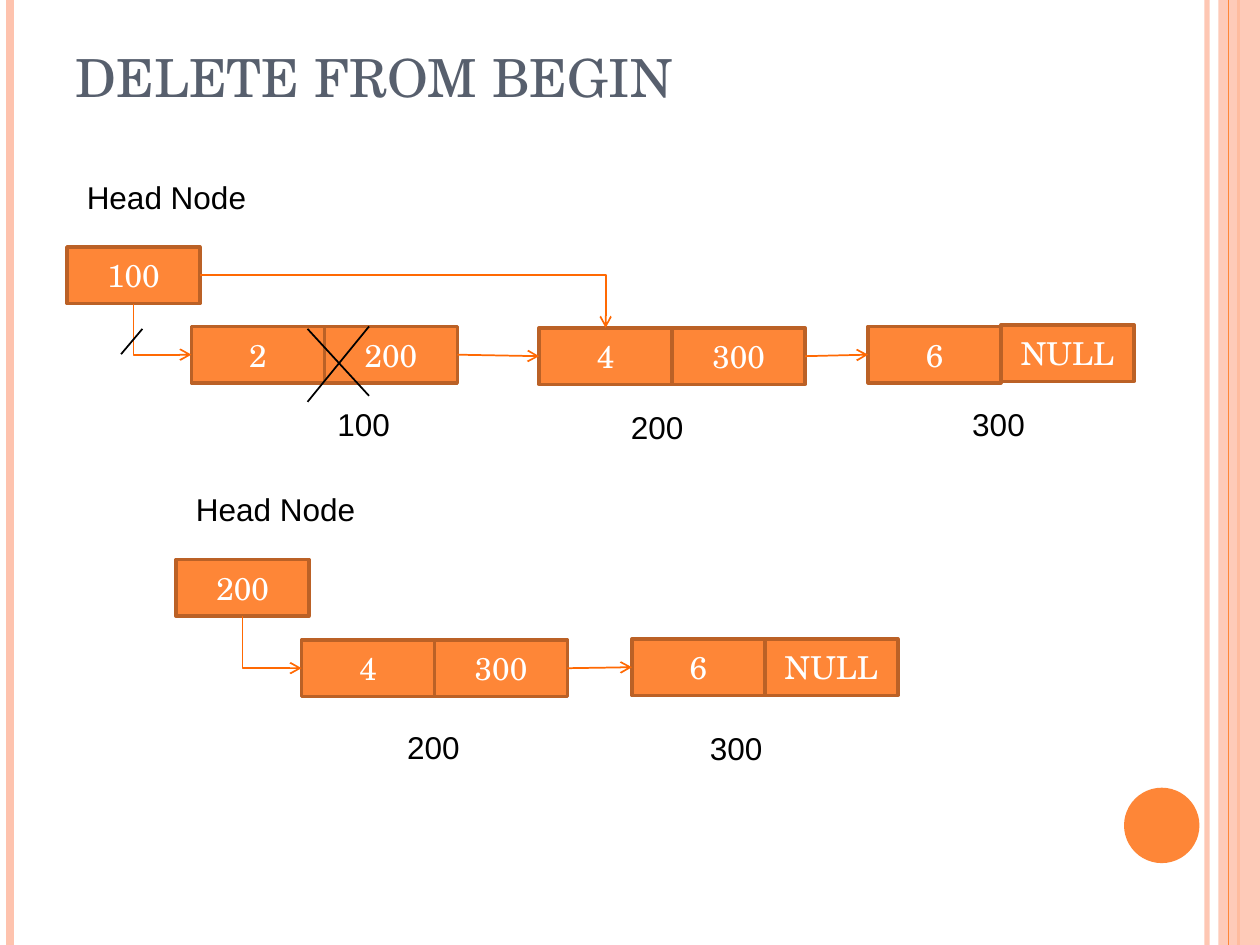
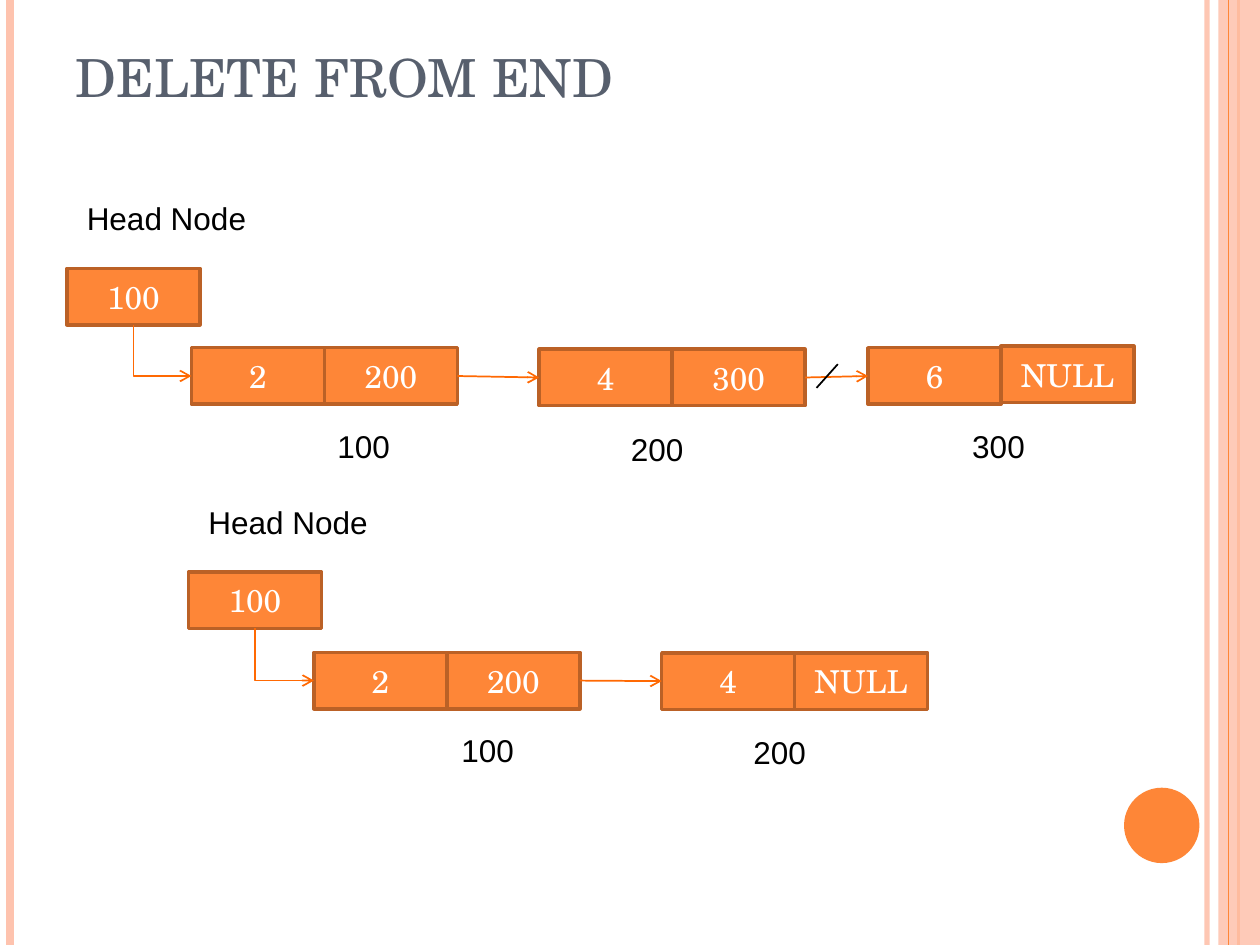
from dataclasses import dataclass
from itertools import pairwise
from typing import NamedTuple, Optional

from pptx import Presentation
from pptx.dml.color import RGBColor
from pptx.enum.shapes import MSO_CONNECTOR, MSO_SHAPE
from pptx.enum.text import MSO_ANCHOR, MSO_AUTO_SIZE, PP_ALIGN
from pptx.oxml.ns import qn
from pptx.shapes.autoshape import Shape
from pptx.shapes.connector import Connector
from pptx.slide import Slide
from pptx.util import Cm, Pt

SLIDE_W, SLIDE_H = 25.4, 19.05
CELL_W, CELL_H = 2.68, 1.14


@dataclass(frozen=True)
class Theme:
    accent: str = "FE8637"
    accent_dark: str = "BB6126"
    accent_pale: str = "FEC3AE"
    arrow: str = "FF6903"
    title: str = "575F6D"
    ink: str = "000000"
    cell_text: str = "FFFFFF"
    serif: str = "TeX Gyre Schola"
    sans: str = "Arial"
    title_size: float = 30
    body_size: float = 18
    line_width: float = 1
    border_width: float = 2


THEME = Theme()


class Point(NamedTuple):
    x: float
    y: float


class Stripe(NamedTuple):
    x: float
    color: str
    width: float
    opacity: int = 100


class Strike(NamedTuple):
    start: Point
    end: Point


class Node(NamedTuple):
    """A two-cell list node; dx and dy count from the head cell."""
    dx: float
    dy: float
    value: str
    pointer: str
    address: str
    address_dx: float
    address_dy: float = 1.47
    pointer_rise: float = 0


class Chain(NamedTuple):
    head: Point
    head_value: str
    nodes: tuple[Node, ...]
    skip_to: Optional[int] = None


class Page(NamedTuple):
    title: str
    chains: tuple[Chain, ...]
    strikes: tuple[Strike, ...]


STRIPES_UNDER_BAND = (
    Stripe(24.33, THEME.accent_pale, 3, 93),
    Stripe(0.2, THEME.accent_pale, 4.5),
    Stripe(24.97, THEME.accent, 1.5),
)
STRIPE_OVER_BAND = Stripe(24.76, THEME.accent, 0.75)

FULL_LIST = (
    Node(2.51, 1.6, "2", "200", "100", 2.69),
    Node(9.52, 1.63, "4", "300", "200", 1.6, 1.5),
    Node(16.15, 1.6, "6", "NULL", "300", 1.85, pointer_rise=0.03),
)
WITHOUT_FIRST = (
    Node(2.53, 1.62, "4", "300", "200", 1.88, 1.65),
    Node(9.19, 1.6, "6", "NULL", "300", 1.32, 1.7),
)
WITHOUT_LAST = (
    Node(2.53, 1.62, "2", "200", "100", 2.72),
    Node(9.54, 1.63, "4", "NULL", "200", 1.6, 1.5),
)

PAGES = (
    Page(
        "DELETE FROM BEGIN",
        (
            Chain(Point(1.35, 4.98), "100", FULL_LIST, skip_to=1),
            Chain(Point(3.55, 11.28), "200", WITHOUT_FIRST),
        ),
        (
            Strike(Point(2.87, 6.63), Point(2.44, 7.14)),
            Strike(Point(7.44, 6.58), Point(6.2, 8.1)),
            Strike(Point(7.44, 7.98), Point(6.2, 6.63)),
        ),
    ),
    Page(
        "DELETE FROM END",
        (
            Chain(Point(1.35, 5.41), "100", FULL_LIST),
            Chain(Point(3.8, 11.53), "100", WITHOUT_LAST),
        ),
        (Strike(Point(16.89, 7.34), Point(16.46, 7.82)),),
    ),
)


def set_opacity(shape: Shape | Connector, percent: int) -> None:
    color = next(shape._element.iter(qn("a:srgbClr")))
    alpha = color.makeelement(qn("a:alpha"), {"val": str(percent * 1000)})
    color.append(alpha)


def write(shape: Shape, text: str, font: str, size: float, color: str) -> None:
    paragraph = shape.text_frame.paragraphs[0]
    paragraph.text = text
    paragraph.font.name = font
    paragraph.font.size = Pt(size)
    paragraph.font.color.rgb = RGBColor.from_string(color)


def add_line(slide: Slide, start: Point, end: Point, color: str,
             width: float = THEME.line_width) -> Connector:
    line = slide.shapes.add_connector(
        MSO_CONNECTOR.STRAIGHT, Cm(start.x), Cm(start.y), Cm(end.x), Cm(end.y))
    line.line.color.rgb = RGBColor.from_string(color)
    line.line.width = Pt(width)
    properties = line._element.spPr
    properties.append(properties.makeelement(qn("a:effectLst"), {}))
    return line


def add_arrow(slide: Slide, start: Point, end: Point) -> Connector:
    arrow = add_line(slide, start, end, THEME.arrow)
    outline = arrow.line._get_or_add_ln()
    outline.append(outline.makeelement(qn("a:tailEnd"), {"type": "arrow"}))
    return arrow


def make_bent(arrow: Connector) -> None:
    """Give the arrow one corner: first across, then down."""
    arrow._element.spPr.find(qn("a:prstGeom")).set("prst", "bentConnector2")


def add_down_then_across(slide: Slide, start: Point, end: Point) -> None:
    """The across-then-down shape, mirrored and turned about its centre."""
    center_x, center_y = (start.x + end.x) / 2, (start.y + end.y) / 2
    half_w, half_h = (end.y - start.y) / 2, (end.x - start.x) / 2
    arrow = add_arrow(slide, Point(center_x - half_w, center_y - half_h),
                      Point(center_x + half_w, center_y + half_h))
    make_bent(arrow)
    frame = arrow._element.spPr.find(qn("a:xfrm"))
    frame.set("rot", str(270 * 60000))
    frame.set("flipH", "1")


def add_filled(slide: Slide, kind: MSO_SHAPE, at: Point, width: float,
               height: float, color: str) -> Shape:
    shape = slide.shapes.add_shape(
        kind, Cm(at.x), Cm(at.y), Cm(width), Cm(height))
    shape.shadow.inherit = False
    shape.fill.solid()
    shape.fill.fore_color.rgb = RGBColor.from_string(color)
    shape.line.fill.background()
    return shape


def add_cell(slide: Slide, at: Point, text: str) -> None:
    cell = add_filled(slide, MSO_SHAPE.RECTANGLE, at, CELL_W, CELL_H, THEME.accent)
    cell.line.color.rgb = RGBColor.from_string(THEME.accent_dark)
    cell.line.width = Pt(THEME.border_width)
    cell.text_frame.vertical_anchor = MSO_ANCHOR.MIDDLE
    write(cell, text, THEME.serif, THEME.body_size, THEME.cell_text)
    cell.text_frame.paragraphs[0].alignment = PP_ALIGN.CENTER


def add_text(slide: Slide, at: Point, width: float, height: float) -> Shape:
    box = slide.shapes.add_textbox(Cm(at.x), Cm(at.y), Cm(width), Cm(height))
    box.text_frame.word_wrap = True
    return box


def add_label(slide: Slide, at: Point, width: float, text: str) -> None:
    label = add_text(slide, at, width, 1.03)
    label.text_frame.auto_size = MSO_AUTO_SIZE.SHAPE_TO_FIT_TEXT
    write(label, text, THEME.sans, THEME.body_size, THEME.ink)


def add_stripe(slide: Slide, stripe: Stripe) -> None:
    line = add_line(slide, Point(stripe.x, 0), Point(stripe.x, SLIDE_H),
                    stripe.color, stripe.width)
    if stripe.opacity < 100:
        set_opacity(line, stripe.opacity)


def add_frame(slide: Slide, title: str) -> None:
    """Side stripes, right band, corner disc and title of every slide."""
    for stripe in STRIPES_UNDER_BAND:
        add_stripe(slide, stripe)
    band_x = 24.56
    band = add_filled(slide, MSO_SHAPE.RECTANGLE, Point(band_x, 0),
                      SLIDE_W - band_x, SLIDE_H, THEME.accent_pale)
    set_opacity(band, 87)
    add_stripe(slide, STRIPE_OVER_BAND)
    add_filled(slide, MSO_SHAPE.OVAL, Point(22.66, 15.88), 1.52, 1.52, THEME.accent)
    heading = add_text(slide, Point(1.27, 0.76), 20.75, 1.55)
    heading.text_frame.vertical_anchor = MSO_ANCHOR.BOTTOM
    write(heading, title, THEME.serif, THEME.title_size, THEME.title)


def add_node(slide: Slide, node: Node, at: Point) -> None:
    add_cell(slide, Point(at.x + CELL_W, at.y - node.pointer_rise), node.pointer)
    add_cell(slide, at, node.value)
    add_label(slide, Point(at.x + node.address_dx, at.y + node.address_dy),
              2.16, node.address)


def add_chain(slide: Slide, chain: Chain) -> None:
    head = chain.head
    add_label(slide, Point(head.x + 0.15, head.y - 1.52), 3.99, "Head Node")
    add_cell(slide, head, chain.head_value)
    places = [Point(head.x + node.dx, head.y + node.dy) for node in chain.nodes]
    for node, place in zip(chain.nodes, places):
        add_node(slide, node, place)

    middle = CELL_H / 2
    add_down_then_across(slide, Point(head.x + CELL_W / 2, head.y + CELL_H),
                         Point(places[0].x, places[0].y + middle))
    for left, right in pairwise(places):
        add_arrow(slide, Point(left.x + 2 * CELL_W, left.y + middle),
                  Point(right.x, right.y + middle))
    if chain.skip_to is not None:
        target = places[chain.skip_to]
        make_bent(add_arrow(slide, Point(head.x + CELL_W, head.y + middle),
                            Point(target.x + CELL_W / 2, target.y)))


def main() -> None:
    deck = Presentation()
    deck.slide_width, deck.slide_height = Cm(SLIDE_W), Cm(SLIDE_H)
    blank = deck.slide_layouts[6]
    for page in PAGES:
        slide = deck.slides.add_slide(blank)
        add_frame(slide, page.title)
        for chain in page.chains:
            add_chain(slide, chain)
        for strike in page.strikes:
            add_line(slide, strike.start, strike.end, THEME.ink)
    deck.save("out.pptx")


if __name__ == "__main__":
    main()
